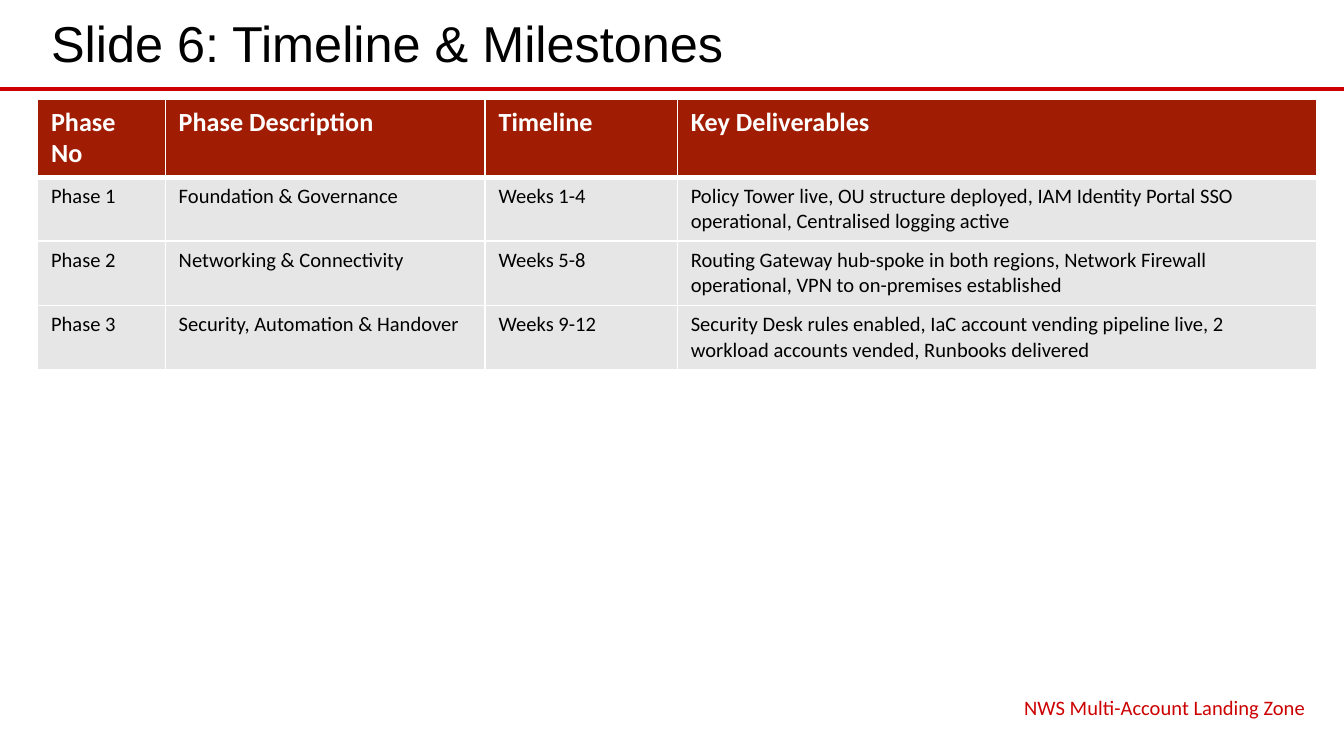
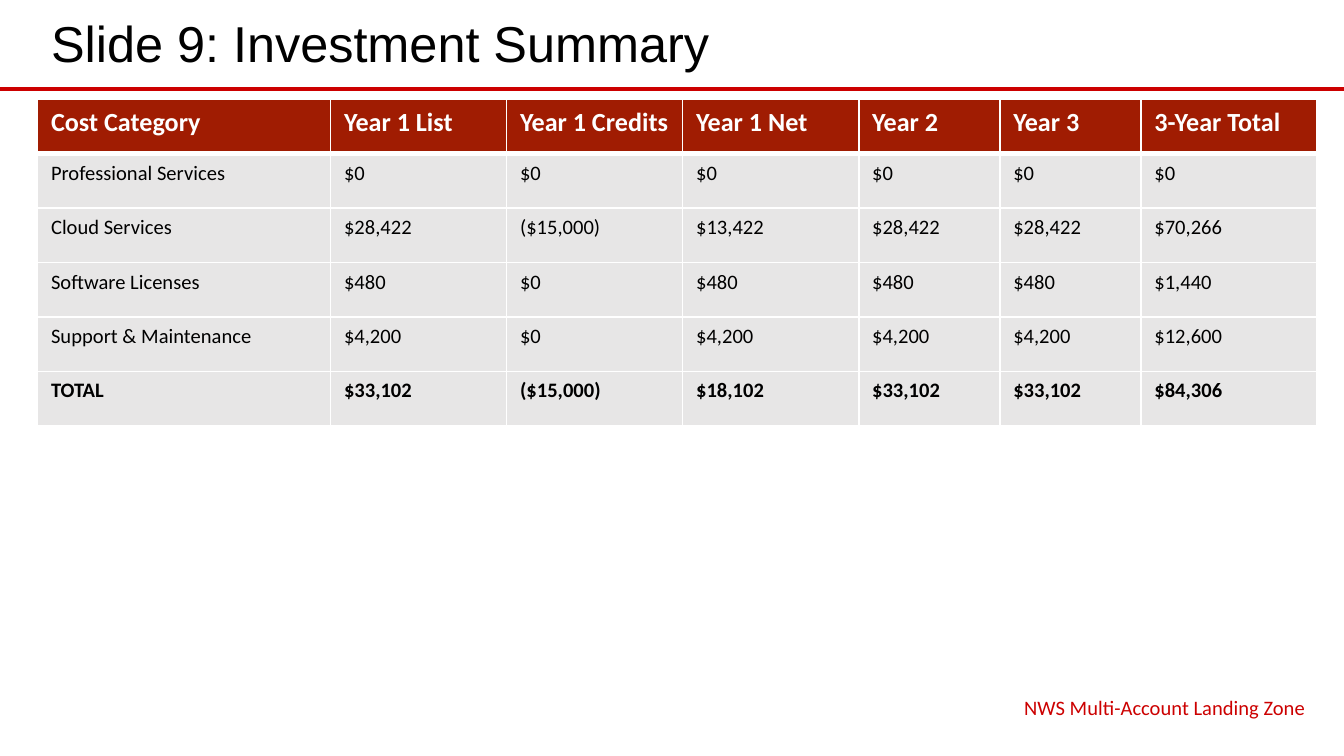
from lxml import etree
from pptx import Presentation
from pptx import util as u
from pptx.dml.color import RGBColor
from pptx.enum import shapes, text
from pptx.oxml import ns

RED, DARK, GREY = "CC0000", "A01C02", "E7E6E6"
WHITE, BLACK = "FFFFFF", "000000"
LEFT, WIDTH = 0.28, 9.53
ROW = 2.43 / 6
FOOTER = "NWS Multi-Account Landing Zone"


def color(code):
    return RGBColor.from_string(code)


def write(frame, words, size=11, font="Calibri", ink=BLACK, bold=False,
          align=text.PP_ALIGN.LEFT, anchor=text.MSO_ANCHOR.TOP):
    frame.word_wrap = True
    frame.vertical_anchor = anchor
    para = frame.paragraphs[0]
    para.alignment = align
    run = para.add_run()
    run.text = words
    run.font.size = u.Pt(size)
    run.font.name = font
    run.font.bold = bold
    run.font.color.rgb = color(ink)


def edge(cell, side, width):
    """Add one white cell border; side is L, R, T or B."""
    props = cell._tc.get_or_add_tcPr()
    line = etree.SubElement(props, ns.qn(f"a:ln{side}"), w=str(u.Pt(width)))
    fill = etree.SubElement(line, ns.qn("a:solidFill"))
    etree.SubElement(fill, ns.qn("a:srgbClr"), val=WHITE)


class Deck:
    def __init__(self):
        self.prs = Presentation()
        self.prs.slide_width = u.Inches(10)
        self.prs.slide_height = u.Inches(10 * 9 / 16)
        self.slide = None

    def page(self, title):
        """Start a slide with its rule, title and footer."""
        self.slide = self.prs.slides.add_slide(self.prs.slide_layouts[5])
        self.rule(0.66)
        self.title(title)
        self.footer()

    def rule(self, y):
        line = self.slide.shapes.add_connector(
            shapes.MSO_CONNECTOR.STRAIGHT,
            0, u.Inches(y), self.prs.slide_width, u.Inches(y))
        line.line.color.rgb = color(RED)
        line.line.width = u.Pt(2.25)
        etree.SubElement(line._element.spPr, ns.qn("a:effectLst"))

    def title(self, words):
        box = self.slide.shapes.title
        box.left, box.top = u.Inches(LEFT), u.Inches(0.04)
        box.width, box.height = u.Inches(WIDTH), u.Inches(0.58)
        box.text_frame.auto_size = text.MSO_AUTO_SIZE.NONE
        box.text_frame.margin_bottom = u.Inches(0.08)
        write(box.text_frame, words, size=27, font="Arial",
              anchor=text.MSO_ANCHOR.MIDDLE)

    def footer(self):
        box = self.slide.shapes.add_textbox(
            u.Inches(6.29), u.Inches(5.12), u.Inches(3.52), u.Inches(0.26))
        write(box.text_frame, FOOTER, ink=RED, align=text.PP_ALIGN.RIGHT)

    def table(self, widths, rows, total=False):
        """Header row first; the last row is bold when it holds totals."""
        frame = self.slide.shapes.add_table(
            len(rows), len(widths), u.Inches(LEFT), u.Inches(0.74),
            u.Inches(WIDTH), u.Inches(ROW * len(rows)))
        grid = frame.table
        for col, width in zip(grid.columns, widths):
            col.width = u.Inches(width)
        for r, row in enumerate(rows):
            grid.rows[r].height = u.Inches(ROW)
            head = r == 0
            bold = head or (total and r == len(rows) - 1)
            for c, words in enumerate(row):
                cell = grid.cell(r, c)
                cell.margin_bottom = u.Inches(0.06)
                edge(cell, "L", 1)
                edge(cell, "R", 1)
                edge(cell, "T", 3 if r == 1 else 1)
                edge(cell, "B", 3 if head else 1)
                cell.fill.solid()
                cell.fill.fore_color.rgb = color(DARK if head else GREY)
                write(cell.text_frame, words, size=14 if head else 11,
                      ink=WHITE if head else BLACK, bold=bold)


def main():
    deck = Deck()

    # Timeline
    deck.page("Slide 6: Timeline & Milestones")
    deck.table([0.95, 2.38, 1.43, 4.76], [
        ["Phase No", "Phase Description", "Timeline", "Key Deliverables"],
        ["Phase 1", "Foundation & Governance", "Weeks 1-4",
         "Policy Tower live, OU structure deployed, IAM Identity Portal SSO "
         "operational, Centralised logging active"],
        ["Phase 2", "Networking & Connectivity", "Weeks 5-8",
         "Routing Gateway hub-spoke in both regions, Network Firewall "
         "operational, VPN to on-premises established"],
        ["Phase 3", "Security, Automation & Handover", "Weeks 9-12",
         "Security Desk rules enabled, IaC account vending pipeline live, 2 "
         "workload accounts vended, Runbooks delivered"],
    ])

    # Costs
    deck.page("Slide 9: Investment Summary")
    deck.table([2.18, 1.31, 1.31, 1.31, 1.05, 1.05, 1.31], [
        ["Cost Category", "Year 1 List", "Year 1 Credits", "Year 1 Net",
         "Year 2", "Year 3", "3-Year Total"],
        ["Professional Services"] + ["$0"] * 6,
        ["Cloud Services", "$28,422", "($15,000)", "$13,422",
         "$28,422", "$28,422", "$70,266"],
        ["Software Licenses", "$480", "$0", "$480",
         "$480", "$480", "$1,440"],
        ["Support & Maintenance", "$4,200", "$0", "$4,200",
         "$4,200", "$4,200", "$12,600"],
        ["TOTAL", "$33,102", "($15,000)", "$18,102",
         "$33,102", "$33,102", "$84,306"],
    ], total=True)

    deck.prs.save("out.pptx")


if __name__ == "__main__":
    main()
